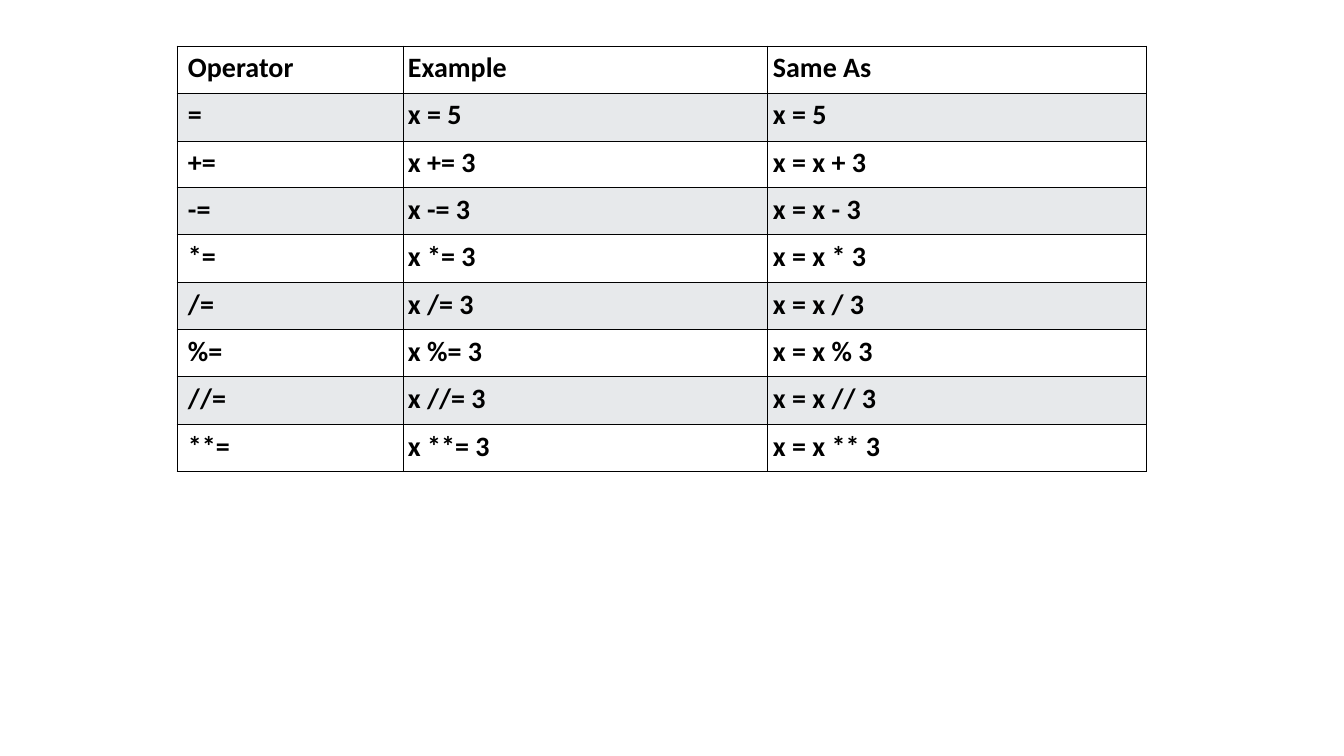
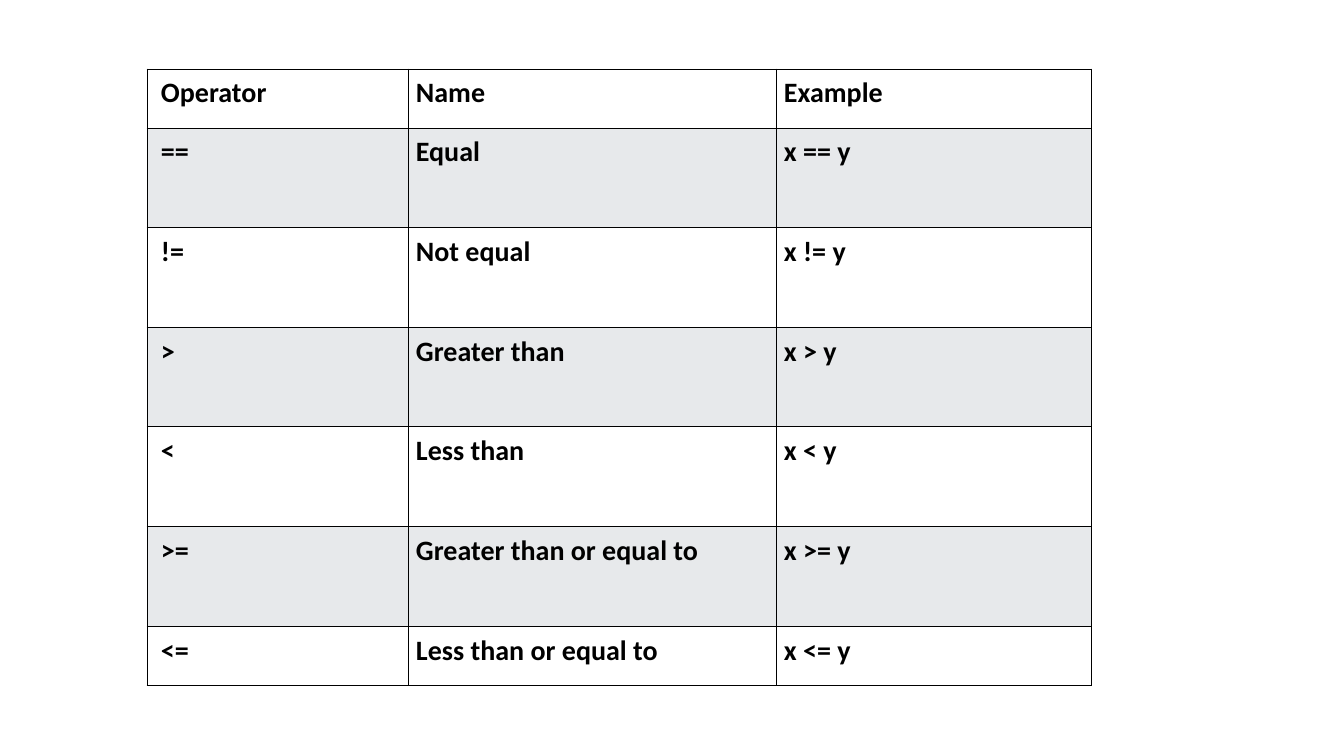
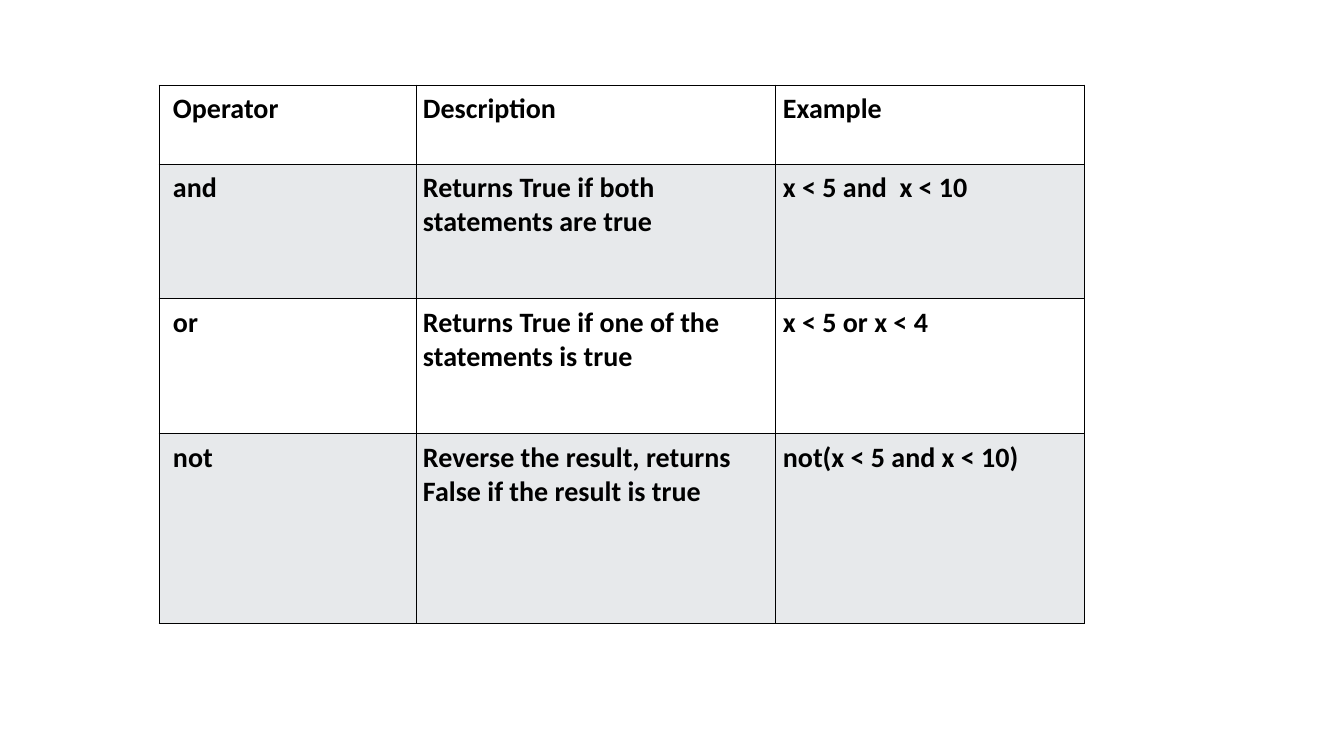
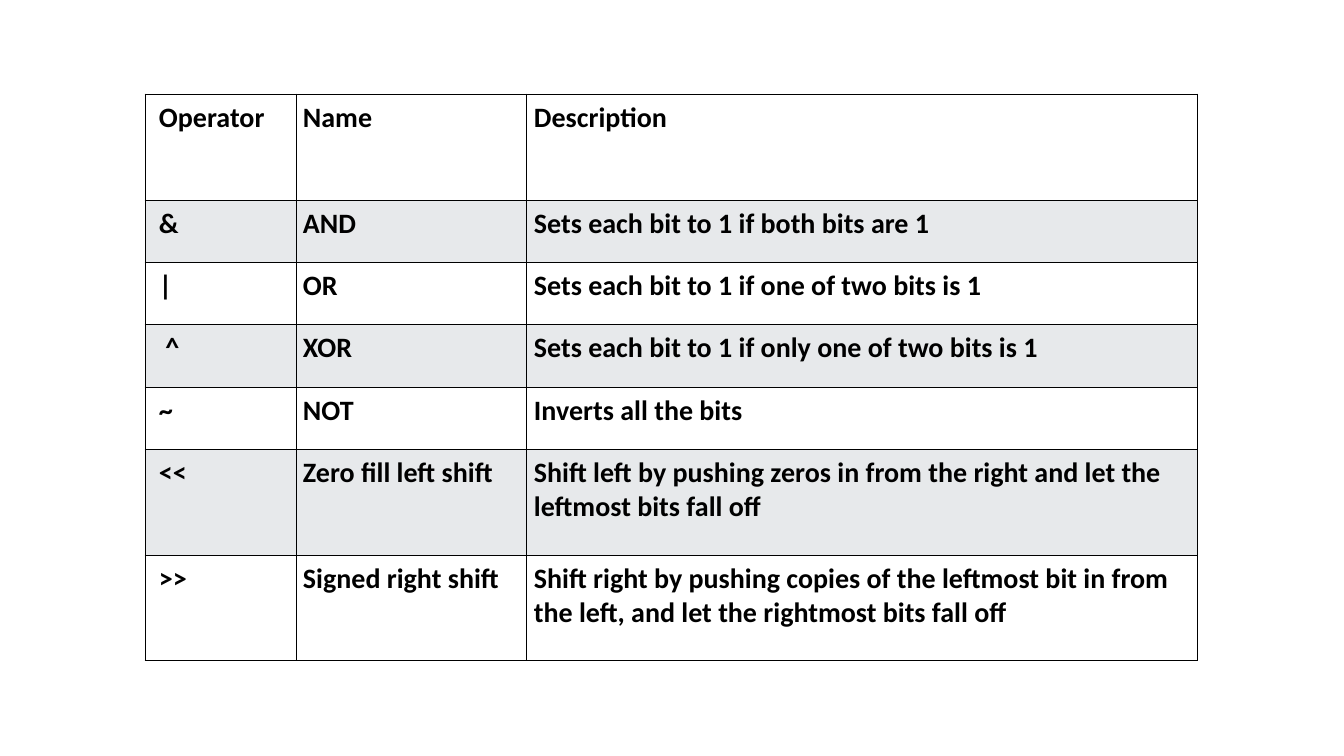
from dataclasses import dataclass
from itertools import accumulate

from lxml import etree
from pptx import Presentation
from pptx.dml.color import RGBColor
from pptx.oxml.ns import qn
from pptx.util import Pt

# Content: one operator table per slide, lengths in pixels.
# Row shares divide the table height; the first row is the header.
TABLES = [
    {
        "left": 177, "top": 46, "height": 426, "inset": 5, "first_inset": 11,
        "columns": [226, 365, 379],
        "row_shares": [1] * 9,
        "rows": [
            ("Operator", "Example", "Same As"),
            ("=", "x = 5", "x = 5"),
            ("+=", "x += 3", "x = x + 3"),
            ("-=", "x -= 3", "x = x - 3"),
            ("*=", "x *= 3", "x = x * 3"),
            ("/=", "x /= 3", "x = x / 3"),
            ("%=", "x %= 3", "x = x % 3"),
            ("//=", "x //= 3", "x = x // 3"),
            ("**=", "x **= 3", "x = x ** 3"),
        ],
    },
    {
        "left": 147, "top": 69, "height": 617, "inset": 7, "first_inset": 14,
        "columns": [262, 368, 315],
        "row_shares": [59] + [100] * 5 + [59],
        "rows": [
            ("Operator", "Name", "Example"),
            ("==", "Equal", "x == y"),
            ("!=", "Not equal", "x != y"),
            (">", "Greater than", "x > y"),
            ("<", "Less than", "x < y"),
            (">=", "Greater than or equal to", "x >= y"),
            ("<=", "Less than or equal to", "x <= y"),
        ],
    },
    {
        "left": 159, "top": 85, "height": 539, "inset": 7, "first_inset": 14,
        "columns": [257, 360, 309],
        "row_shares": [79, 135, 135, 190],
        "rows": [
            ("Operator", "Description", "Example"),
            ("and\u00a0", "Returns True if both statements are true",
             "x < 5 and\u00a0 x < 10"),
            ("or", "Returns True if one of the statements is true",
             "x < 5 or x < 4"),
            ("not", "Reverse the result, returns False if the result is true",
             "not(x < 5 and x < 10)"),
        ],
    },
    {
        "left": 145, "top": 94, "height": 567, "inset": 7, "first_inset": 14,
        "columns": [151, 231, 671],
        "row_shares": [106] + [62] * 4 + [106] * 2,
        "rows": [
            ("Operator", "Name", "Description"),
            ("&\u00a0", "AND", "Sets each bit to 1 if both bits are 1"),
            ("|", "OR", "Sets each bit to 1 if one of two bits is 1"),
            ("\u00a0^", "XOR", "Sets each bit to 1 if only one of two bits is 1"),
            ("~\u00a0", "NOT", "Inverts all the bits"),
            ("<<", "Zero fill left shift",
             "Shift left by pushing zeros in from the right and let the "
             "leftmost bits fall off"),
            (">>", "Signed right shift",
             "Shift right by pushing copies of the leftmost bit in from "
             "the left, and let the rightmost bits fall off"),
        ],
    },
]


# Theme
@dataclass(frozen=True)
class Theme:
    font: str = "Calibri"
    size: int = 20
    ink: str = "000000"
    row_fills: tuple = ("FFFFFF", "E7E9EB")
    border_width: float = 0.75


THEME = Theme()
SLIDE_WIDTH, SLIDE_HEIGHT = 1344, 756
EMU_PER_PIXEL = 914400 / 100.8
BLANK_LAYOUT = 6
BORDER_SIDES = ("a:lnL", "a:lnR", "a:lnT", "a:lnB")


def px(pixels):
    return round(pixels * EMU_PER_PIXEL)


def row_heights(total, shares):
    """Split the total by share, rounding the edges to whole pixels."""
    edges = [0] + [round(total * part / sum(shares)) for part in accumulate(shares)]
    return [bottom - top for top, bottom in zip(edges, edges[1:])]


# Cells
def add_borders(cell):
    properties = cell._tc.get_or_add_tcPr()
    for position, side in enumerate(BORDER_SIDES):
        line = etree.Element(qn(side), w=str(Pt(THEME.border_width)))
        fill = etree.SubElement(line, qn("a:solidFill"))
        etree.SubElement(fill, qn("a:srgbClr"), val=THEME.ink)
        properties.insert(position, line)


def format_cell(cell, text, fill, left_inset, inset):
    cell.text_frame.text = text
    cell.margin_left = px(left_inset)
    cell.margin_top = cell.margin_right = cell.margin_bottom = px(inset)
    cell.fill.solid()
    cell.fill.fore_color.rgb = RGBColor.from_string(fill)
    font = cell.text_frame.paragraphs[0].runs[0].font
    font.name = THEME.font
    font.size = Pt(THEME.size)
    font.bold = True
    font.color.rgb = RGBColor.from_string(THEME.ink)
    add_borders(cell)


# Tables
def add_operator_table(slide, content):
    rows, columns = content["rows"], content["columns"]
    table = slide.shapes.add_table(
        len(rows), len(columns), px(content["left"]), px(content["top"]),
        px(sum(columns)), px(content["height"])).table
    table.first_row = table.horz_banding = False
    for column, width in zip(table.columns, columns):
        column.width = px(width)
    heights = row_heights(content["height"], content["row_shares"])
    for row, height in zip(table.rows, heights):
        row.height = px(height)
    for row_index, texts in enumerate(rows):
        fill = THEME.row_fills[row_index % 2]
        for column_index, text in enumerate(texts):
            left_inset = content["inset"] if column_index else content["first_inset"]
            format_cell(table.cell(row_index, column_index), text, fill,
                        left_inset, content["inset"])


# Slides
presentation = Presentation()
presentation.slide_width = px(SLIDE_WIDTH)
presentation.slide_height = px(SLIDE_HEIGHT)
for table_content in TABLES:
    new_slide = presentation.slides.add_slide(presentation.slide_layouts[BLANK_LAYOUT])
    add_operator_table(new_slide, table_content)
presentation.save("out.pptx")
